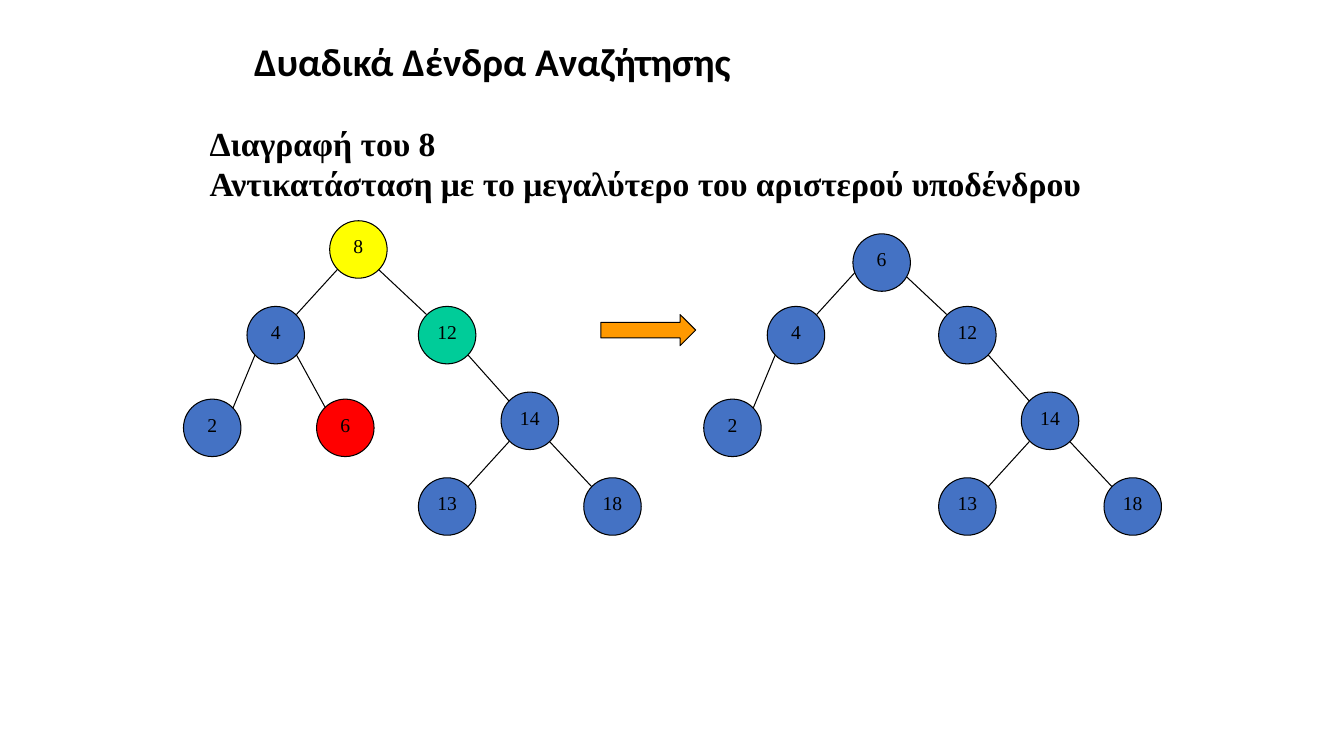
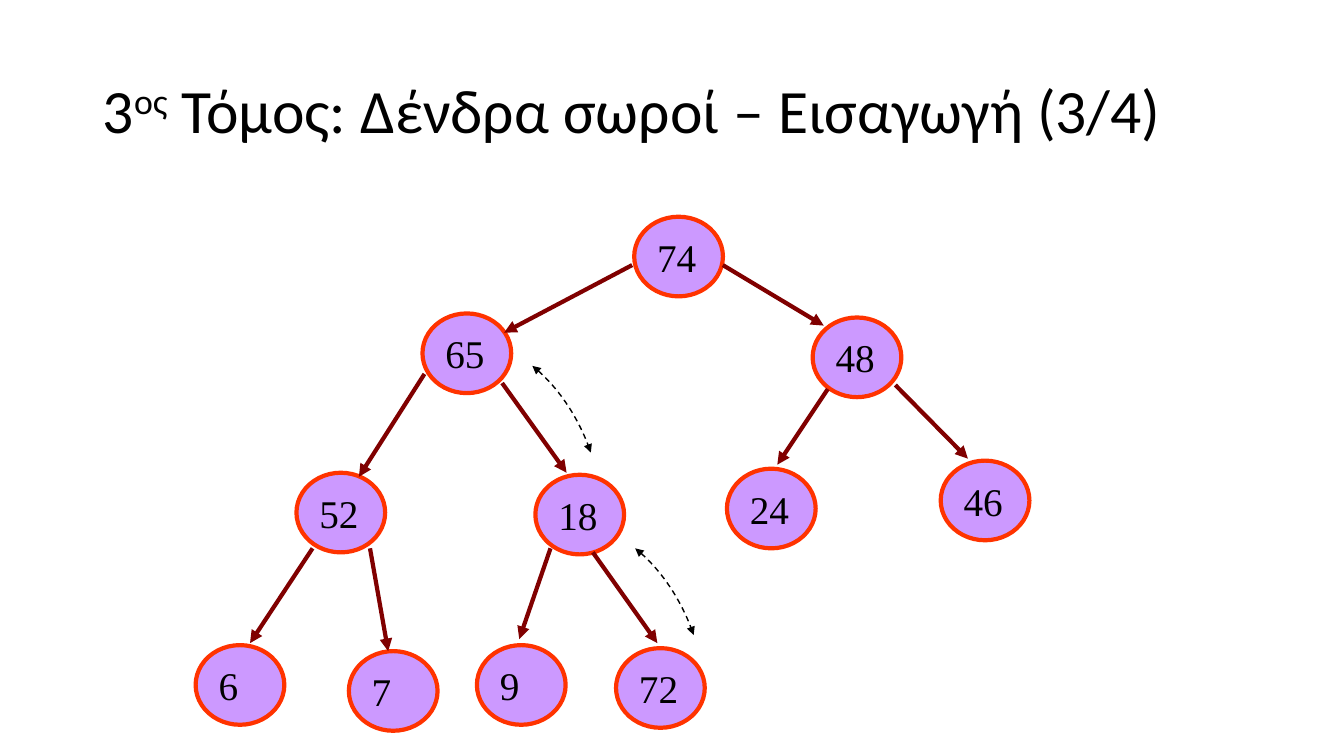
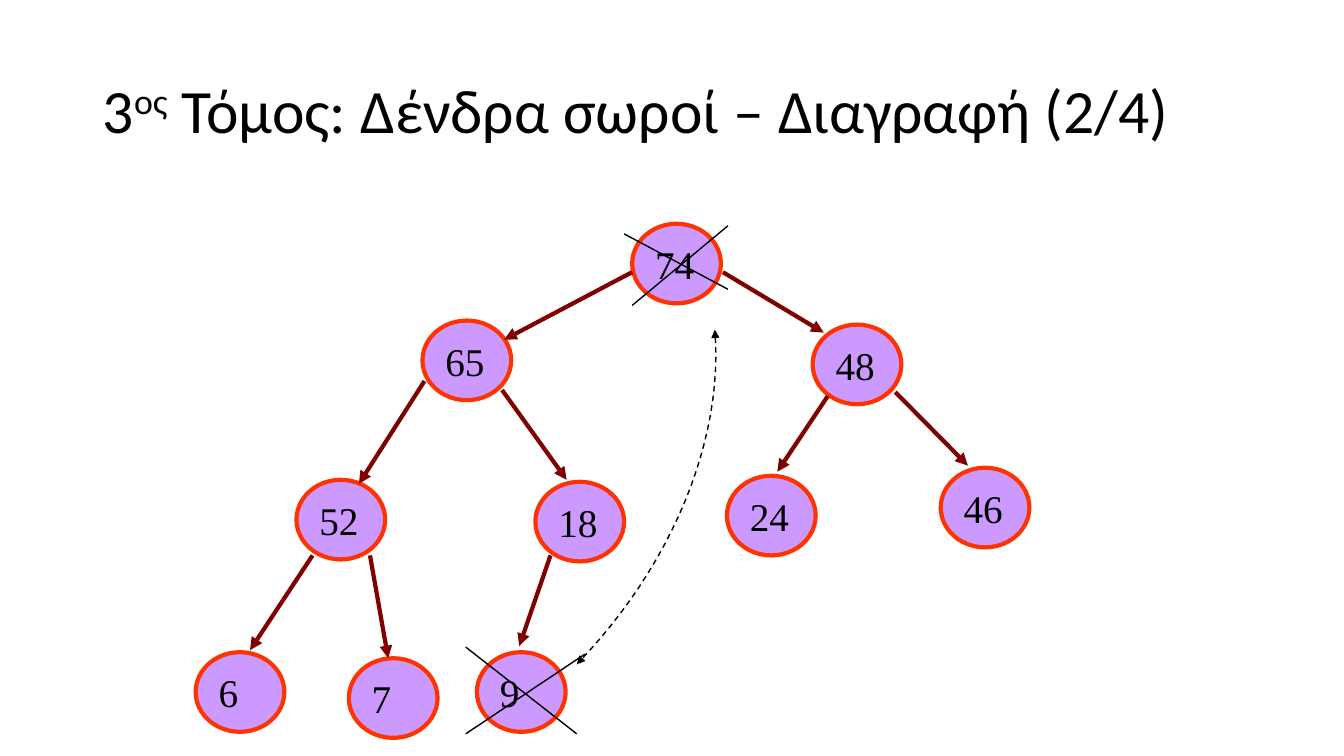
from lxml import etree
from pptx import Presentation
from pptx import util as u
from pptx.dml.color import RGBColor
from pptx.enum import dml, shapes, text
from pptx.oxml import ns

SCALE = 9144
BLACK = RGBColor(0x00, 0x00, 0x00)
BLUE = RGBColor(0x44, 0x72, 0xC4)
YELLOW = RGBColor(0xFF, 0xFF, 0x00)
GREEN = RGBColor(0x00, 0xCC, 0x99)
RED = RGBColor(0xFF, 0x00, 0x00)
ORANGE = RGBColor(0xFF, 0x99, 0x00)
LILAC = RGBColor(0xCC, 0x99, 0xFF)
VERMILION = RGBColor(0xFF, 0x33, 0x00)
MAROON = RGBColor(0x80, 0x00, 0x00)
TITLE_FONT = "Calibri"
BODY_FONT = "Times New Roman"

SEARCH_NODES = {
    "8": (327, 219), "4": (245, 304), "12": (415, 304), "2": (182, 396),
    "6": (314, 396), "14": (497, 389), "18": (579, 474), "13": (415, 474),
}
SEARCH_EDGES = {
    "4": (335, 267, 294, 312), "12": (375, 267, 423, 312),
    "2": (253, 352, 231, 405), "6": (294, 352, 323, 405),
    "14": (464, 352, 505, 398), "18": (545, 438, 587, 483),
    "13": (505, 438, 464, 483),
}
HEAP_NODES = {
    "74": (629, 215), "65": (419, 311), "52": (294, 469), "48": (806, 315),
    "6": (194, 640), "46": (933, 457), "18": (531, 471), "24": (721, 465),
    "7": (346, 646), "9": (473, 640),
}
HEAP_EDGES = {
    "65": (627, 263, 500, 330), "52": (421, 371, 356, 473),
    "48": (717, 263, 817, 323), "6": (310, 544, 248, 638),
    "46": (888, 382, 960, 455), "18": (498, 380, 562, 469),
    "24": (821, 386, 771, 461), "7": (367, 544, 385, 646),
    "9": (546, 544, 515, 634),
}


def px(*lengths):
    return [u.Emu(round(length * SCALE)) for length in lengths]


class Sketch:
    def __init__(self, deck):
        self.deck = deck
        self.slide = None

    def new_slide(self):
        self.slide = self.deck.slides.add_slide(self.deck.slide_layouts[5])

    def format_runs(self, frame, font, size, bold=False):
        for para in frame.paragraphs:
            for span in para.runs:
                span.font.name = font
                span.font.size = u.Pt(size)
                span.font.bold = bold
                span.font.color.rgb = BLACK

    def title(self, place, parts, size, bold=False):
        box = self.slide.shapes.title
        box.left, box.top, box.width, box.height = px(*place)
        frame = box.text_frame
        frame.auto_size = text.MSO_AUTO_SIZE.NONE
        frame.vertical_anchor = text.MSO_ANCHOR.MIDDLE
        para = frame.paragraphs[0]
        para.alignment = text.PP_ALIGN.LEFT
        para.line_spacing = 0.9
        for words, raised in parts:
            span = para.add_run()
            span.text = words
            if raised:
                span._r.get_or_add_rPr().set("baseline", "30000")
        self.format_runs(frame, TITLE_FONT, size, bold)

    def heap_title(self, topic):
        parts = [("3", False), ("ος", True), (f" Τόμος: Δένδρα σωροί – {topic}", False)]
        self.title((92, 40, 1150, 145), parts, 44)

    def caption(self, place, words):
        frame = self.slide.shapes.add_textbox(*px(*place)).text_frame
        frame.word_wrap = True
        frame.auto_size = text.MSO_AUTO_SIZE.SHAPE_TO_FIT_TEXT
        frame.text = words
        self.format_runs(frame, BODY_FONT, 24, True)

    def shape(self, kind, place, fill, line, width):
        box = self.slide.shapes.add_shape(kind, *px(*place))
        box.shadow.inherit = False
        box.fill.solid()
        box.fill.fore_color.rgb = fill
        box.line.color.rgb = line
        box.line.width = u.Pt(width)
        return box

    def label(self, box, words, size, align, anchor, wrap):
        frame = box.text_frame
        frame.text = words
        frame.word_wrap = wrap
        frame.vertical_anchor = anchor
        frame.paragraphs[0].alignment = align
        self.format_runs(frame, BODY_FONT, size)

    def search_node(self, value, x, y, fill=BLUE):
        box = self.shape(shapes.MSO_SHAPE.OVAL, (x, y, 57, 57), fill, BLACK, 0.75)
        self.label(box, value, 14, text.PP_ALIGN.CENTER, text.MSO_ANCHOR.TOP, True)

    def heap_node(self, value, x, y):
        box = self.shape(shapes.MSO_SHAPE.OVAL, (x, y, 88, 79), LILAC, VERMILION, 3)
        self.label(box, value, 28, text.PP_ALIGN.LEFT, text.MSO_ANCHOR.MIDDLE, False)

    def arrowheads(self, item, *ends):
        outline = item._element.spPr.find(ns.qn("a:ln"))
        for end in ends:
            etree.SubElement(outline, ns.qn(f"a:{end}")).set("type", "triangle")

    def line(self, ends, color=BLACK, width=1, arrow=False):
        link = self.slide.shapes.add_connector(shapes.MSO_CONNECTOR.STRAIGHT, *px(*ends))
        link.line.color.rgb = color
        link.line.width = u.Pt(width)
        if arrow:
            self.arrowheads(link, "tailEnd")
        etree.SubElement(link._element.spPr, ns.qn("a:effectLst"))

    def swap_curve(self, *controls, steps=24):
        points = []
        for step in range(steps + 1):
            t = step / steps
            weights = ((1 - t) ** 3, 3 * t * (1 - t) ** 2, 3 * t * t * (1 - t), t ** 3)
            points.append(px(*(sum(w * c for w, c in zip(weights, axis))
                               for axis in zip(*controls))))
        builder = self.slide.shapes.build_freeform(*points[0])
        builder.add_line_segments(points[1:], close=False)
        curve = builder.convert_to_shape()
        curve.shadow.inherit = False
        curve.fill.background()
        curve.line.color.rgb = BLACK
        curve.line.width = u.Pt(1)
        curve.line.dash_style = dml.MSO_LINE.DASH
        self.arrowheads(curve, "headEnd", "tailEnd")

    def search_tree(self, nodes, fills, dx=0):
        for child, (x1, y1, x2, y2) in SEARCH_EDGES.items():
            if child in nodes:
                self.line((x1 + dx, y1, x2 + dx, y2), width=0.75)
        for value, (x, y) in nodes.items():
            self.search_node(value, x + dx, y, fills.get(value, BLUE))

    def heap(self, nodes, edges, dy=0):
        for value, (x, y) in nodes.items():
            self.heap_node(value, x, y + dy)
        for x1, y1, x2, y2 in edges.values():
            self.line((x1, y1 + dy, x2, y2 + dy), MAROON, 3, True)


def search_deletion(sketch):
    sketch.new_slide()
    sketch.title((242, 36, 850, 55), [("Δυαδικά Δένδρα Αναζήτησης", False)], 28, True)
    sketch.caption((198, 117, 933, 91),
                   "Διαγραφή του 8\nΑντικατάσταση με το μεγαλύτερο του αριστερού υποδένδρου")
    sketch.search_tree(SEARCH_NODES, {"8": YELLOW, "12": GREEN, "6": RED})
    remaining = {value: place for value, place in SEARCH_NODES.items() if value not in "86"}
    sketch.search_tree(remaining, {}, 516)
    sketch.search_node("6", 846, 232)
    sketch.shape(shapes.MSO_SHAPE.RIGHT_ARROW, (596, 312, 94, 31), ORANGE, BLACK, 0.75)


def heap_insertion(sketch):
    sketch.new_slide()
    sketch.heap_title("Εισαγωγή (3/4)")
    sketch.heap({**HEAP_NODES, "72": (611, 643)}, {**HEAP_EDGES, "72": (588, 548, 652, 638)})
    for x, y in ((630, 544), (528, 363)):
        sketch.swap_curve((x, y), (x + 25, y + 20), (x + 46, y + 51), (x + 58, y + 86))


def heap_deletion(sketch):
    sketch.new_slide()
    sketch.heap_title("Διαγραφή (2/4)")
    sketch.heap({**HEAP_NODES, "74": (627, 215)}, HEAP_EDGES, 7)
    for stroke in ((722, 287, 619, 232), (722, 224, 627, 303),
                   (572, 728, 462, 642), (580, 649, 462, 728)):
        sketch.line(stroke)
    sketch.swap_curve((709, 327), (718, 437), (666, 562), (572, 659))


def main():
    deck = Presentation()
    deck.slide_width, deck.slide_height = px(1333, 750)
    sketch = Sketch(deck)
    search_deletion(sketch)
    heap_insertion(sketch)
    heap_deletion(sketch)
    deck.save("out.pptx")


if __name__ == "__main__":
    main()
